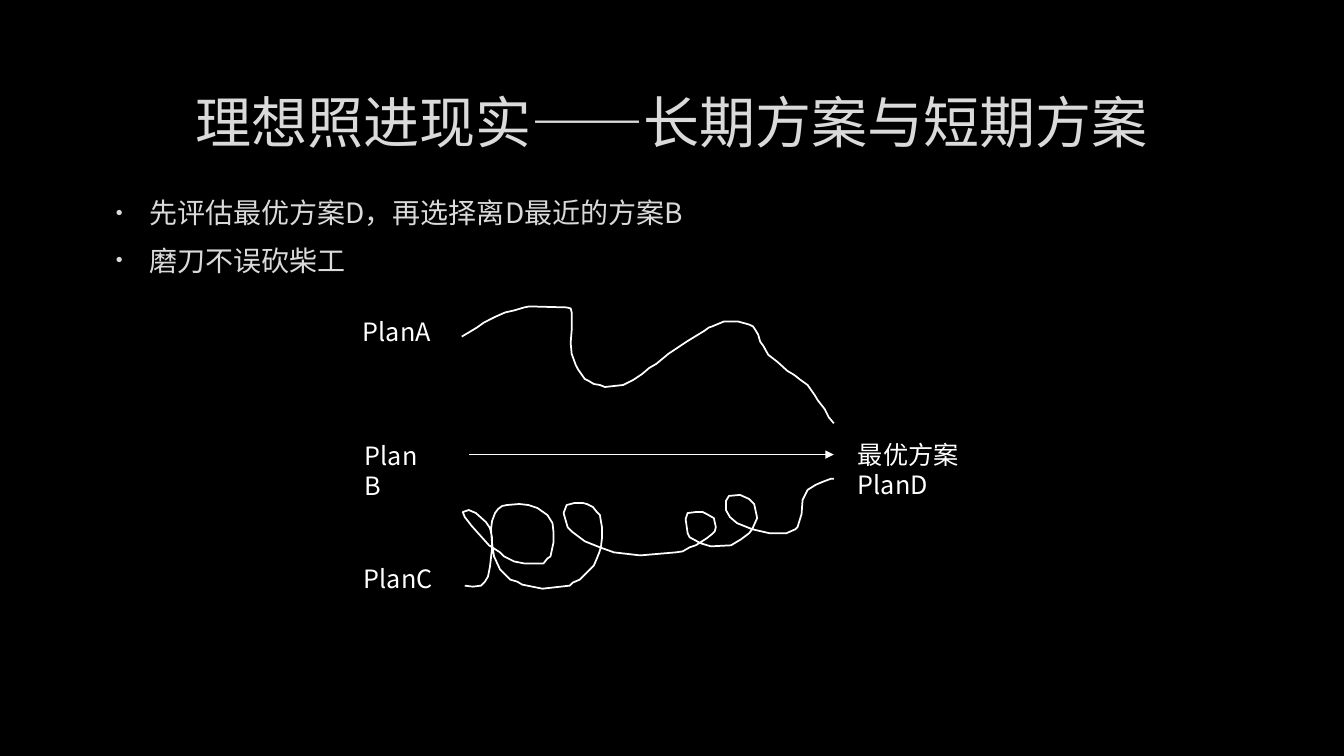
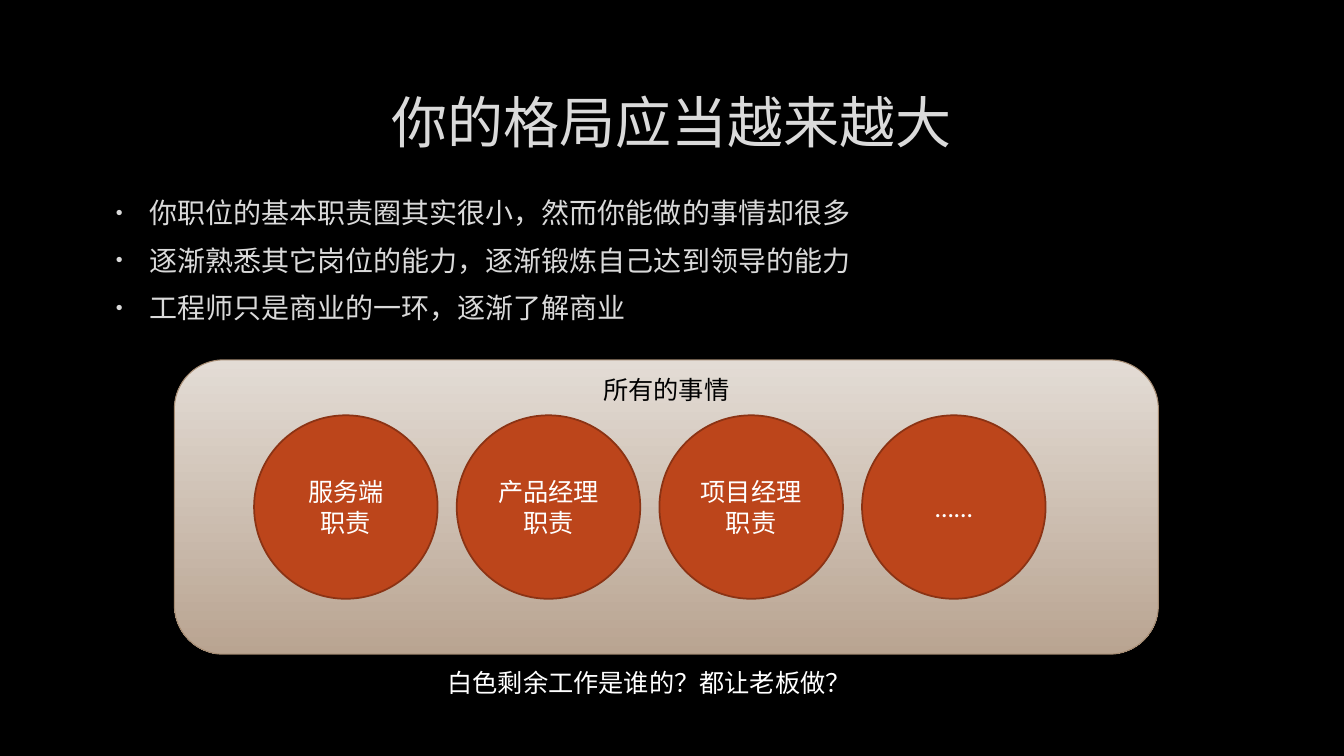
from lxml import etree
from pptx import Presentation
from pptx.dml.color import RGBColor
from pptx.enum.dml import MSO_LINE
from pptx.enum.shapes import MSO_CONNECTOR, MSO_SHAPE
from pptx.enum.text import MSO_ANCHOR, PP_ALIGN
from pptx.oxml.ns import qn
from pptx.util import Pt

PX = 9144  # 100 px to the inch
WIDE, HIGH = 1333, 750

BLACK = RGBColor(0x00, 0x00, 0x00)
WHITE = RGBColor(0xFF, 0xFF, 0xFF)
PALE = RGBColor(0xDA, 0xDA, 0xDA)
SAND = RGBColor(0xE3, 0xDC, 0xD5)
TAN = RGBColor(0xB9, 0xA4, 0x91)
BROWN = RGBColor(0xA5, 0x8B, 0x72)
RUST = RGBColor(0xBC, 0x45, 0x1B)
DARK = RGBColor(0x8B, 0x33, 0x14)

SANS, LATO = "Noto Sans CJK SC", "Lato"
LEFT, MID = PP_ALIGN.LEFT, PP_ALIGN.CENTER
TOP, CENTER = MSO_ANCHOR.TOP, MSO_ANCHOR.MIDDLE
ROUND, OVAL = MSO_SHAPE.ROUNDED_RECTANGLE, MSO_SHAPE.OVAL
STRAIGHT, SOLID = MSO_CONNECTOR.STRAIGHT, MSO_LINE.SOLID

# Hand-drawn routes, as points in px
WAVE = [
    (458, 334), (473, 325), (480, 320), (492, 314), (501, 310), (510, 308),
    (520, 305), (525, 304), (562, 305), (566, 306), (567, 310), (567, 328),
    (566, 340), (567, 351), (571, 362), (573, 366), (580, 376), (584, 378),
    (589, 381), (595, 382), (600, 384), (618, 382), (628, 377), (637, 371),
    (644, 365), (651, 361), (663, 351), (681, 339), (699, 328), (703, 325),
    (706, 324), (718, 319), (732, 319), (743, 322), (747, 324), (749, 327),
    (752, 332), (754, 339), (757, 343), (762, 352), (771, 359), (781, 368),
    (786, 371), (789, 373), (794, 377), (801, 382), (808, 392), (811, 397),
    (818, 406), (822, 414), (827, 420)]
LOOPS = [
    (461, 581), (469, 582), (477, 581), (481, 577), (484, 572), (486, 562),
    (488, 544), (488, 533), (486, 524), (482, 518), (472, 509), (465, 506),
    (459, 508), (461, 513), (468, 522), (485, 541), (496, 548), (500, 552),
    (510, 557), (520, 559), (539, 559), (543, 554), (546, 552), (549, 538),
    (549, 528), (548, 519), (543, 511), (533, 504), (524, 501), (515, 500),
    (503, 501), (498, 502), (494, 505), (491, 509), (488, 517), (487, 525),
    (488, 539), (490, 552), (496, 565), (506, 575), (513, 577), (518, 580),
    (538, 584), (565, 581), (568, 578), (575, 575), (585, 565), (589, 561),
    (592, 554), (594, 549), (596, 543), (597, 534), (597, 523), (595, 511),
    (592, 508), (588, 503), (582, 500), (578, 499), (570, 499), (562, 501),
    (559, 509), (563, 523), (568, 528), (580, 537), (595, 543), (609, 548),
    (635, 551), (670, 548), (677, 547), (684, 543), (690, 541), (701, 534),
    (706, 530), (709, 527), (710, 523), (708, 514), (701, 510), (697, 508),
    (690, 508), (682, 509), (680, 515), (682, 529), (684, 533), (695, 539),
    (705, 542), (725, 541), (735, 535), (739, 532), (743, 529), (746, 525),
    (751, 514), (748, 500), (743, 495), (734, 491), (723, 492), (720, 497),
    (720, 506), (724, 513), (731, 519), (741, 523), (746, 525), (763, 529),
    (780, 529), (789, 525), (791, 523), (795, 510), (796, 496), (801, 486),
    (809, 481), (816, 478), (824, 475), (827, 475)]


def place(*box):
    """Turn px into EMU."""
    return [n * PX for n in box]


def write(shape, text, size=18, color=WHITE, font=SANS, align=LEFT,
          anchor=TOP, bullet=False, inset=None):
    """Put each line of text into its own paragraph."""
    frame = shape.text_frame
    frame.word_wrap = True
    frame.vertical_anchor = anchor
    if inset is not None:
        frame.margin_top = inset * PX
    for i, line in enumerate(text.split("\n")):
        para = frame.add_paragraph() if i else frame.paragraphs[0]
        para.alignment = align
        run = para.add_run()
        run.text = line
        run.font.size = Pt(size)
        run.font.name = font
        run.font.color.rgb = color
        east = etree.SubElement(run.font._element, qn("a:ea"))
        east.set("typeface", font)
        if bullet:
            mark(para)


def mark(para):
    """Give a paragraph its small bullet, indent and gaps."""
    para.space_before = Pt(4)
    para.space_after = Pt(6)
    props = para._p.get_or_add_pPr()
    props.set("marL", str(38 * PX))
    props.set("indent", str(-33 * PX))
    etree.SubElement(props, qn("a:buSzPct")).set("val", "70000")
    etree.SubElement(props, qn("a:buFont")).set("typeface", "Arial")
    etree.SubElement(props, qn("a:buChar")).set("char", "•")


def label(slide, box, text, **style):
    write(slide.shapes.add_textbox(*place(*box)), text, **style)


def stroke(line, color, width):
    line.color.rgb = color
    line.width = Pt(width)


def form(slide, kind, box, edge, width):
    """Add a preset shape with an outline and no shadow."""
    shape = slide.shapes.add_shape(kind, *place(*box))
    shape.shadow.inherit = False
    stroke(shape.line, edge, width)
    return shape


def route(slide, points):
    """Draw an open line through the points."""
    pen = slide.shapes.build_freeform(*points[0], scale=PX)
    pen.add_line_segments(points[1:], close=False)
    shape = pen.convert_to_shape()
    shape.shadow.inherit = False
    shape.fill.background()
    stroke(shape.line, WHITE, 1.25)


def arrow(slide, *ends):
    link = slide.shapes.add_connector(STRAIGHT, *place(*ends))
    stroke(link.line, WHITE, 0.75)
    link.line.dash_style = SOLID
    tip = etree.SubElement(link.line._get_or_add_ln(), qn("a:tailEnd"))
    tip.set("type", "triangle")
    etree.SubElement(link._element.spPr, qn("a:effectLst"))


def start(deck, title, points):
    """Add a black slide with a title and bullets."""
    slide = deck.slides.add_slide(deck.slide_layouts[6])
    fill = slide.background.fill
    fill.solid()
    fill.fore_color.rgb = BLACK
    label(slide, (100, 67, 1132, 106), title, size=40, color=PALE,
          align=MID, anchor=CENTER)
    label(slide, (100, 189, 1132, 160), points, size=20, color=PALE,
          bullet=True)
    return slide


def plans(deck):
    slide = start(deck, "理想照进现实——长期方案与短期方案",
                  "先评估最优方案D，再选择离D最近的方案B\n磨刀不误砍柴工")
    for text, *box in (("PlanA", 350, 309, 92, 40),
                       ("PlanB", 352, 432, 80, 70),
                       ("PlanC", 351, 554, 92, 40),
                       ("最优方案PlanD", 841, 431, 150, 70)):
        label(slide, box, text)
    arrow(slide, 465, 451, 827, 451)
    route(slide, WAVE)
    route(slide, LOOPS)


def scope(deck):
    slide = start(deck, "你的格局应当越来越大",
                  "你职位的基本职责圈其实很小，然而你能做的事情却很多\n"
                  "逐渐熟悉其它岗位的能力，逐渐锻炼自己达到领导的能力\n"
                  "工程师只是商业的一环，逐渐了解商业")
    # Panel for all the work
    panel = form(slide, ROUND, (173, 357, 976, 292), BROWN, 0.75)
    panel.fill.gradient()
    panel.fill.gradient_angle = 270
    for stop, color, spot in zip(panel.fill.gradient_stops, (SAND, TAN), (0, 1)):
        stop.color.rgb = color
        stop.position = spot
    write(panel, "所有的事情", color=BLACK, align=MID, inset=0)
    # One disc for each role
    roles = "服务端\n职责", "产品经理\n职责", "项目经理\n职责", "……"
    for i, role in enumerate(roles):
        disc = form(slide, OVAL, (252 + 201 * i, 412, 182, 182), DARK, 1.25)
        disc.fill.solid()
        disc.fill.fore_color.rgb = RUST
        write(disc, role, font=LATO, align=MID, anchor=CENTER)
    label(slide, (434, 657, 440, 40), "白色剩余工作是谁的？都让老板做？")


def main():
    deck = Presentation()
    deck.slide_width, deck.slide_height = place(WIDE, HIGH)
    plans(deck)
    scope(deck)
    deck.save("out.pptx")


if __name__ == "__main__":
    main()
